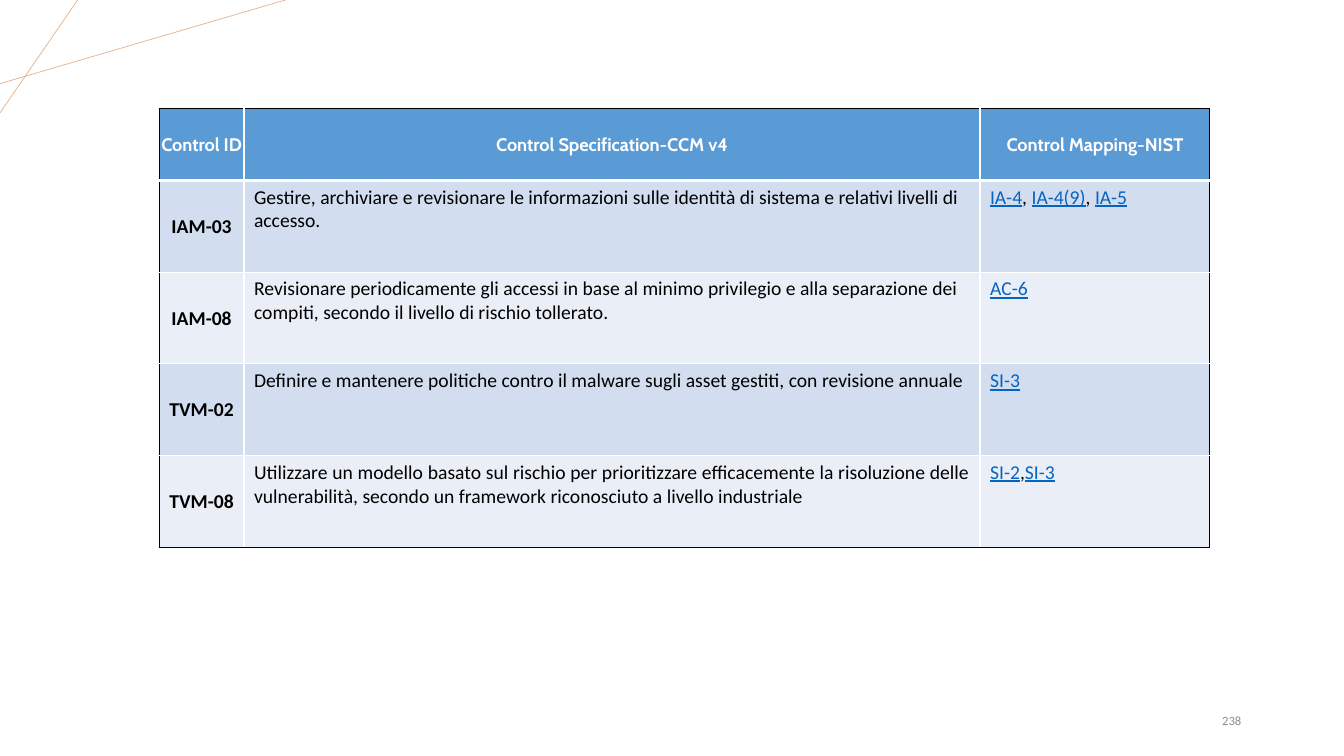
from dataclasses import dataclass

from lxml import etree
from pptx import Presentation
from pptx.dml.color import RGBColor
from pptx.enum.shapes import MSO_CONNECTOR
from pptx.enum.text import MSO_ANCHOR, PP_ALIGN
from pptx.oxml.ns import qn
from pptx.util import Inches, Pt

STRAIGHT = MSO_CONNECTOR.STRAIGHT
MIDDLE, TOP = MSO_ANCHOR.MIDDLE, MSO_ANCHOR.TOP
LEFT, CENTER = PP_ALIGN.LEFT, PP_ALIGN.CENTER
RIGHT, JUSTIFY = PP_ALIGN.RIGHT, PP_ALIGN.JUSTIFY


@dataclass(frozen=True)
class Theme:
    head: str = "5B9BD5"
    bands: tuple = ("D2DEEF", "EAEFF7")
    white: str = "FFFFFF"
    black: str = "000000"
    link: str = "0563C1"
    gray: str = "8C8C8C"
    accent: str = "E2B18D"
    title: str = "Cabin"
    body: str = "Calibri"
    head_size: float = 13
    body_size: float = 14
    note_size: float = 9
    thin: float = 0.5
    rule: float = 1
    thick: float = 3


THEME = Theme()
HEADS = ("Control ID", "Control Specification-CCM v4", "Control Mapping-NIST")
ROWS = (
    ("IAM-03", "Gestire, archiviare e revisionare le informazioni sulle identità di "
     "sistema e relativi livelli di accesso.", LEFT, ("IA-4", ", ", "IA-4(9)", ", ", "IA-5")),
    ("IAM-08", "Revisionare periodicamente gli accessi in base al minimo privilegio e alla "
     "separazione dei compiti, secondo il livello di rischio tollerato.", LEFT, ("AC-6",)),
    ("TVM-02", "Definire e mantenere politiche contro il malware sugli asset gestiti, "
     "con revisione annuale", JUSTIFY, ("SI-3",)),
    ("TVM-08", "Utilizzare un modello basato sul rischio per prioritizzare efficacemente la "
     "risoluzione delle vulnerabilità, secondo un framework riconosciuto a livello "
     "industriale", JUSTIFY, ("SI-2", ",", "SI-3")),
)
WIDTHS = (0.84, 7.3, 2.28)
HEAD_TALL, ROW_TALL = 0.71, 0.91


def add_text(para, text, *, font=THEME.body, size=THEME.body_size, color=THEME.black,
             bold=False, under=False, align=LEFT):
    para.alignment = align
    run = para.add_run()
    run.text = text
    run.font.name = font
    run.font.size = Pt(size)
    run.font.bold = bold
    run.font.underline = under
    run.font.color.rgb = RGBColor.from_string(color)


def add_line(slide, start, end):
    line = slide.shapes.add_connector(STRAIGHT, *map(Inches, start + end))
    line.line.color.rgb = RGBColor.from_string(THEME.accent)
    line.line.width = Pt(THEME.thin)
    etree.SubElement(line._element.spPr, qn("a:effectLst"))


def add_number(slide, text):
    box = slide.shapes.add_textbox(Inches(11.86), Inches(6.95), Inches(0.55), Inches(0.4))
    frame = box.text_frame
    frame.word_wrap = True
    frame.vertical_anchor = MIDDLE
    add_text(frame.paragraphs[0], text, size=THEME.note_size, color=THEME.gray, align=RIGHT)


def set_edge(cell, side, color, width):
    edge = etree.SubElement(cell._tc.get_or_add_tcPr(), qn("a:ln" + side), w=str(Pt(width)))
    fill = etree.SubElement(edge, qn("a:solidFill"))
    etree.SubElement(fill, qn("a:srgbClr"), val=color)


def style_cell(cell, row, col):
    last = len(ROWS)
    outer = {"L": col == 0, "R": col == len(WIDTHS) - 1, "T": row == 0, "B": row == last}
    for side, black in outer.items():
        heavy = (row, side) in ((0, "B"), (1, "T"))
        set_edge(cell, side, THEME.black if black else THEME.white,
                 THEME.thick if heavy else THEME.rule)
    cell.fill.solid()
    shade = THEME.bands[(row - 1) % 2] if row else THEME.head
    cell.fill.fore_color.rgb = RGBColor.from_string(shade)
    tight = row == 0 or col == 0
    cell.vertical_anchor = MIDDLE if tight else TOP
    if tight:
        cell.margin_left = cell.margin_right = cell.margin_top = Inches(0.01)
        cell.margin_bottom = 0


def add_grid(slide):
    tall = HEAD_TALL + ROW_TALL * len(ROWS)
    frame = slide.shapes.add_table(len(ROWS) + 1, len(WIDTHS), Inches(1.58), Inches(1.08),
                                   Inches(sum(WIDTHS)), Inches(tall))
    table = frame.table
    table.horz_banding = False
    for col, width in zip(table.columns, WIDTHS):
        col.width = Inches(width)
    for i, row in enumerate(table.rows):
        row.height = Inches(ROW_TALL if i else HEAD_TALL)
        for j, cell in enumerate(row.cells):
            style_cell(cell, i, j)

    def para(row, col):
        return table.cell(row, col).text_frame.paragraphs[0]

    for j, head in enumerate(HEADS):
        add_text(para(0, j), head, font=THEME.title, size=THEME.head_size,
                 color=THEME.white, bold=True, align=CENTER)
    for i, (code, text, align, links) in enumerate(ROWS, 1):
        add_text(para(i, 0), code, bold=True, align=CENTER)
        add_text(para(i, 1), text, align=align)
        for k, part in enumerate(links):
            link = k % 2 == 0
            add_text(para(i, 2), part, color=THEME.link if link else THEME.black, under=link)


def main():
    deck = Presentation()
    deck.slide_width, deck.slide_height = Inches(13.33), Inches(7.5)
    slide = deck.slides.add_slide(deck.slide_layouts[6])
    add_line(slide, (0, 0.83), (2.83, 0))
    add_line(slide, (0.77, 0), (0, 1.12))
    add_number(slide, "238")
    add_grid(slide)
    deck.save("out.pptx")


if __name__ == "__main__":
    main()
